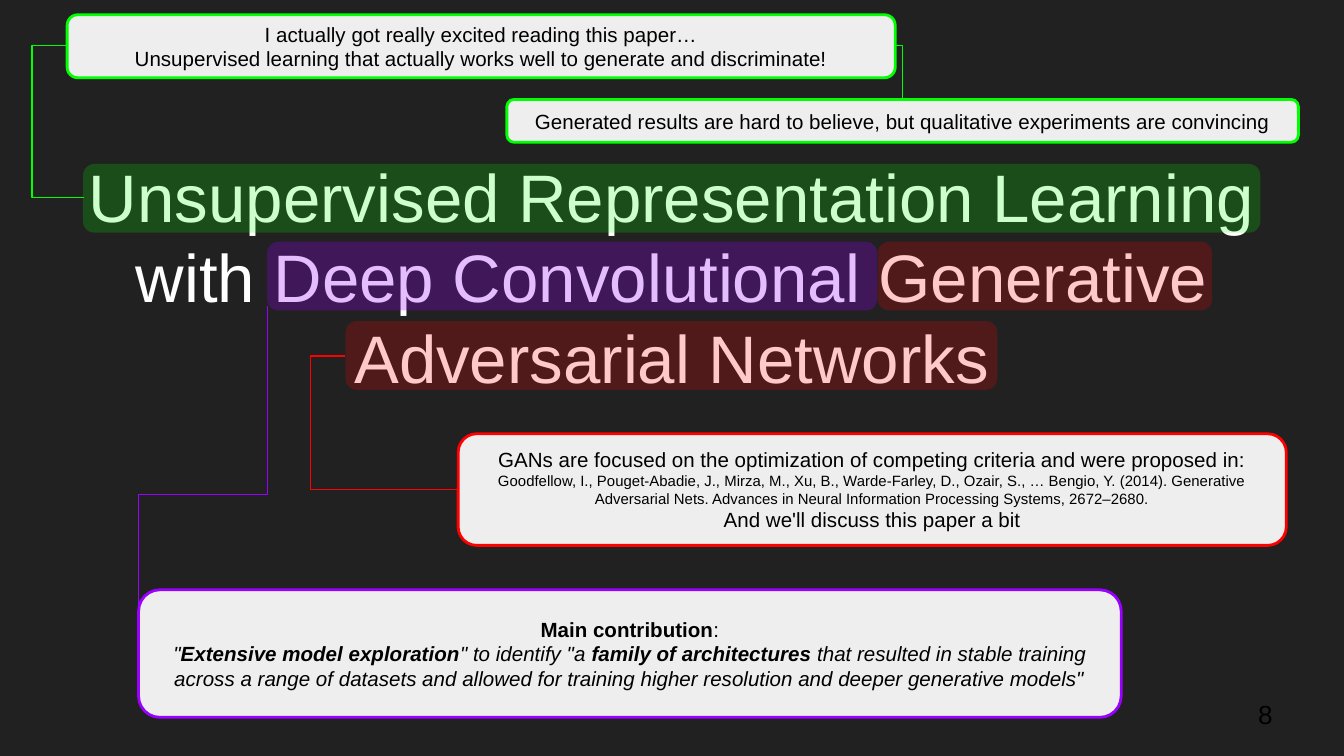
from lxml import etree
from pptx import Presentation
from pptx.dml.color import RGBColor
from pptx.enum import shapes, text
from pptx.oxml import ns
from pptx.util import Cm, Pt

BACKGROUND = RGBColor(0x21, 0x21, 0x21)
PANEL = RGBColor(0xEE, 0xEE, 0xEE)
WHITE = RGBColor(0xFF, 0xFF, 0xFF)
BLACK = RGBColor(0x00, 0x00, 0x00)
GREEN = RGBColor(0x00, 0xFF, 0x00)
RED = RGBColor(0xFF, 0x00, 0x00)
PURPLE = RGBColor(0x99, 0x00, 0xFF)

FONT = "Arial"
NOTE_SIZE = 11
HIGHLIGHT_HEIGHT = 1.3


def style_font(font, size, color):
    font.name = FONT
    font.size = Pt(size)
    font.color.rgb = color


def set_up_frame(frame, anchor):
    frame.word_wrap = True
    frame.vertical_anchor = anchor
    frame.margin_left = frame.margin_right = Cm(0.25)
    frame.margin_top = frame.margin_bottom = Cm(0.25)


def add_label(slide, box, words, size, color, alignment, anchor):
    frame = slide.shapes.add_textbox(*map(Cm, box)).text_frame
    set_up_frame(frame, anchor)
    paragraph = frame.paragraphs[0]
    paragraph.text = words
    paragraph.alignment = alignment
    style_font(paragraph.font, size, color)


def add_rounded_box(slide, box, fill):
    shape = slide.shapes.add_shape(
        shapes.MSO_SHAPE.ROUNDED_RECTANGLE, *map(Cm, box))
    shape.shadow.inherit = False
    shape.fill.solid()
    shape.fill.fore_color.rgb = fill
    return shape


def add_highlight(slide, left, top, width, color, opacity):
    """Lay a translucent marker over title words; opacity is in percent."""
    shape = add_rounded_box(slide, (left, top, width, HIGHLIGHT_HEIGHT), color)
    shape.line.fill.background()
    color_element = next(shape._element.spPr.iter(ns.qn("a:srgbClr")))
    etree.SubElement(color_element, ns.qn("a:alpha"), val=str(opacity * 1000))


def add_note(slide, box, color, lines=()):
    """Add an outlined note with one paragraph per (words, size) line."""
    shape = add_rounded_box(slide, box, PANEL)
    shape.line.color.rgb = color
    shape.line.width = Pt(1.5)
    frame = shape.text_frame
    set_up_frame(frame, text.MSO_ANCHOR.MIDDLE)
    for index, (words, size) in enumerate(lines):
        paragraph = frame.add_paragraph() if index else frame.paragraphs[0]
        paragraph.text = words
        paragraph.alignment = text.PP_ALIGN.CENTER
        style_font(paragraph.font, size, BLACK)
    return frame


def add_contribution(slide):
    frame = add_note(slide, (2.62, 11.15, 18.57, 2.41), PURPLE)
    paragraph = frame.paragraphs[0]
    paragraph.alignment = text.PP_ALIGN.CENTER
    style_font(paragraph.font, NOTE_SIZE, BLACK)

    def add_run(words, bold, italic):
        run = paragraph.add_run()
        run.text = words
        run.font.bold = bold
        run.font.italic = italic

    add_run("Main contribution", True, False)
    add_run(":", False, False)
    paragraph.add_line_break()
    quote = ('"', "Extensive model exploration", '" to identify "a ',
             "family of architectures",
             " that resulted in stable training across a range of datasets and "
             'allowed for training higher resolution and deeper generative models"')
    for index, words in enumerate(quote):
        add_run(words, index % 2 == 1, True)


def add_bent_line(slide, start, end, color, bend=None, downward=False):
    """Join two points: bend is the middle leg's position as a share of the
    span, None makes one corner, downward starts vertically and goes left."""
    (x1, y1), (x2, y2) = start, end
    if downward:
        center_x, center_y = (x1 + x2) / 2, (y1 + y2) / 2
        half_length, half_breadth = (y2 - y1) / 2, (x1 - x2) / 2
        x1, x2 = center_x - half_length, center_x + half_length
        y1, y2 = center_y - half_breadth, center_y + half_breadth
    line = slide.shapes.add_connector(
        shapes.MSO_CONNECTOR.ELBOW, Cm(x1), Cm(y1), Cm(x2), Cm(y2))
    line.line.color.rgb = color
    line.line.width = Pt(0.75)
    properties = line._element.spPr
    etree.SubElement(properties, ns.qn("a:effectLst"))
    if downward:
        properties.find(ns.qn("a:xfrm")).set("rot", str(90 * 60000))
    geometry = properties.find(ns.qn("a:prstGeom"))
    if bend is None:
        geometry.set("prst", "bentConnector2")
    else:
        guides = geometry.find(ns.qn("a:avLst"))
        etree.SubElement(guides, ns.qn("a:gd"), name="adj1",
                         fmla=f"val {round(bend * 100000)}")


def main():
    presentation = Presentation()
    presentation.slide_width = Cm(25.4)
    presentation.slide_height = Cm(14.29)
    slide = presentation.slides.add_slide(presentation.slide_layouts[6])
    slide.background.fill.solid()
    slide.background.fill.fore_color.rgb = BACKGROUND

    add_label(slide, (0.86, 2.06, 23.67, 5.69),
              "Unsupervised Representation Learning with Deep Convolutional "
              "Generative Adversarial Networks",
              36, WHITE, text.PP_ALIGN.CENTER, text.MSO_ANCHOR.BOTTOM)

    add_highlight(slide, 5.05, 4.57, 11.53, PURPLE, 26)
    add_highlight(slide, 16.59, 4.57, 6.32, RED, 21)
    add_highlight(slide, 6.53, 6.07, 12.32, RED, 21)
    add_highlight(slide, 1.57, 3.1, 22.25, GREEN, 20)

    add_note(slide, (1.27, 0.28, 15.65, 1.19), GREEN, [
        ("I actually got really excited reading this paper…", NOTE_SIZE),
        ("Unsupervised learning that actually works well to generate and "
         "discriminate!", NOTE_SIZE)])
    add_note(slide, (8.66, 8.2, 15.65, 2.11), RED, [
        ("GANs are focused on the optimization of competing criteria and were "
         "proposed in:", NOTE_SIZE),
        ("Goodfellow, I., Pouget-Abadie, J., Mirza, M., Xu, B., Warde-Farley, "
         "D., Ozair, S., … Bengio, Y. (2014). Generative Adversarial Nets. "
         "Advances in Neural Information Processing Systems, 2672–2680.", 8),
        ("And we'll discuss this paper a bit", NOTE_SIZE)])
    add_note(slide, (9.58, 1.88, 14.96, 0.81), GREEN, [
        ("Generated results are hard to believe, but qualitative experiments "
         "are convincing", NOTE_SIZE)])
    add_contribution(slide)

    add_bent_line(slide, (1.27, 0.86), (1.59, 3.74), GREEN, bend=-2.08)
    add_bent_line(slide, (16.92, 0.86), (17.06, 1.88), GREEN)
    add_bent_line(slide, (6.53, 6.73), (8.66, 9.25), RED, bend=-0.31)
    add_bent_line(slide, (5.05, 5.79), (2.62, 12.9), PURPLE, bend=0.5,
                  downward=True)

    add_label(slide, (22.8, 12.95, 1.5, 1.1), "8", 14, BLACK,
              text.PP_ALIGN.RIGHT, text.MSO_ANCHOR.MIDDLE)
    presentation.save("out.pptx")


if __name__ == "__main__":
    main()
